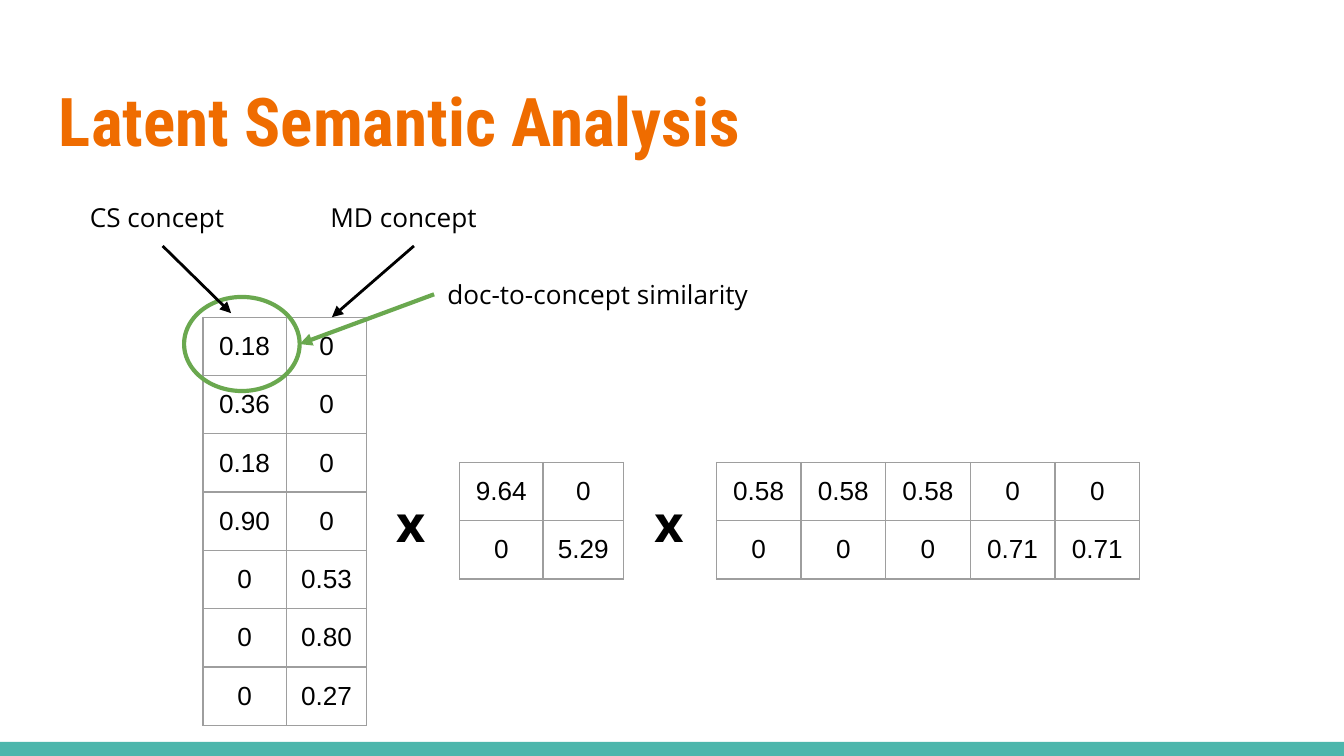
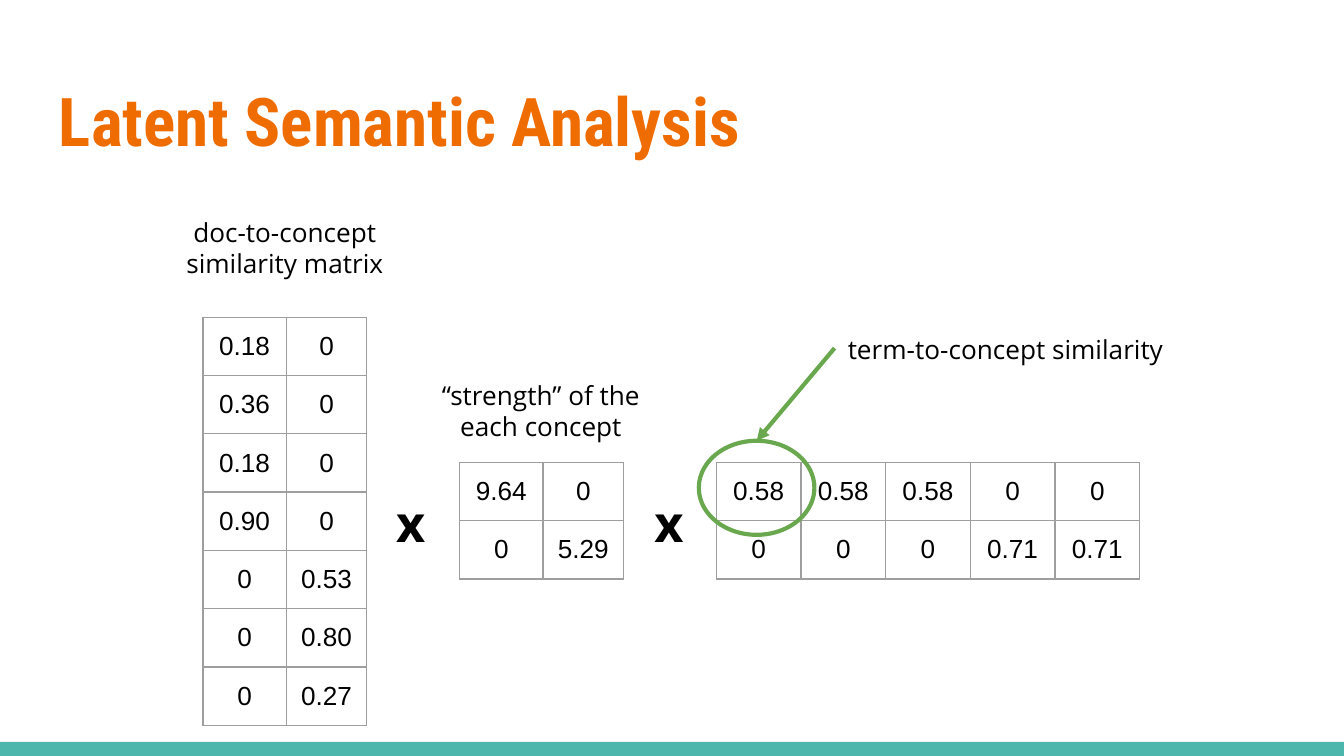
import pptx
import pptx.dml.color
import pptx.enum.shapes
import pptx.enum.text
import pptx.oxml
import pptx.oxml.ns
import pptx.util
from lxml import etree

Inches = pptx.util.Inches
Pt = pptx.util.Pt
PP_ALIGN = pptx.enum.text.PP_ALIGN
MSO_SHAPE = pptx.enum.shapes.MSO_SHAPE

COLORS = {
    "title": "EF6C00",
    "band": "4DB6AC",
    "text": "000000",
    "border": "9E9E9E",
    "highlight": "6AA84F",
}
ROW_HEIGHT = 0.21  # rows grow to fit their text
MATRIX_FRAME = 3.28

# left, top, column widths, rows
MATRICES = [
    (1.51, 2.36, [0.62, 0.6],
     ["0.18 0", "0.36 0", "0.18 0", "0.90 0", "0 0.53", "0 0.80", "0 0.27"]),
    (3.42, 3.44, [0.62, 0.6], ["9.64 0", "0 5.29"]),
    (5.33, 3.44, [0.63] * 5, ["0.58 0.58 0.58 0 0", "0 0 0 0.71 0.71"]),
]

# labels: text, left, top, width, height, alignment
# arrows: start, end, colour, line width
SLIDES = [
    {
        "labels": [
            ("CS concept", 0.57, 1.4, 1.27, 0.44, PP_ALIGN.LEFT),
            ("MD concept", 2.36, 1.4, 1.43, 0.44, PP_ALIGN.LEFT),
            ("doc-to-concept similarity", 3.23, 1.97, 2.64, 0.44, PP_ALIGN.LEFT),
        ],
        "circle": (1.37, 2.21),
        "arrows": [
            ((1.21, 1.83), (1.72, 2.33), "text", 1.5),
            ((3.08, 1.83), (2.47, 2.36), "text", 1.5),
            ((3.23, 2.19), (2.23, 2.56), "highlight", 2.25),
        ],
    },
    {
        "labels": [
            ("doc-to-concept similarity matrix", 1.1, 1.51, 2.04, 0.61, PP_ALIGN.CENTER),
            ("“strength” of the each concept", 3.09, 2.72, 1.87, 0.61, PP_ALIGN.CENTER),
            ("term-to-concept similarity", 6.21, 2.38, 2.6, 0.44, PP_ALIGN.LEFT),
        ],
        "circle": (5.2, 3.28),
        "arrows": [((6.21, 2.59), (5.63, 3.28), "highlight", 2.25)],
    },
]


def rgb(name):
    return pptx.dml.color.RGBColor.from_string(COLORS[name])


def add_text(slide, text, left, top, width, height, align=PP_ALIGN.LEFT,
             size=14, font="Open Sans", color="text", bold=False):
    box = slide.shapes.add_textbox(Inches(left), Inches(top), Inches(width), Inches(height))
    frame = box.text_frame
    frame.word_wrap = True
    frame.margin_left = frame.margin_right = Inches(0.1)
    frame.margin_top = frame.margin_bottom = Inches(0.1)
    paragraph = frame.paragraphs[0]
    paragraph.text = text
    paragraph.alignment = align
    paragraph.font.size = Pt(size)
    paragraph.font.name = font
    paragraph.font.bold = bold
    paragraph.font.color.rgb = rgb(color)


prs = pptx.Presentation()
prs.slide_width = Inches(10)
prs.slide_height = Inches(10 * 9 / 16)

for content in SLIDES:
    slide = prs.slides.add_slide(prs.slide_layouts[6])

    band = slide.shapes.add_shape(MSO_SHAPE.RECTANGLE, 0, Inches(5.52), Inches(10), Inches(0.11))
    band.shadow.inherit = False
    band.fill.solid()
    band.fill.fore_color.rgb = rgb("band")
    band.line.fill.background()

    add_text(slide, "Latent Semantic Analysis", 0.34, 0.49, 9.32, 0.77,
             size=36, font="Roboto Condensed", color="title", bold=True)

    for left, top, widths, rows in MATRICES:
        matrix_frame = slide.shapes.add_table(
            len(rows), len(widths), Inches(left), Inches(top),
            Inches(MATRIX_FRAME), Inches(MATRIX_FRAME))
        matrix = matrix_frame.table
        matrix.first_row = False
        matrix.horz_banding = False
        for column, width in zip(matrix.columns, widths):
            column.width = Inches(width)
        for r, row in enumerate(rows):
            matrix.rows[r].height = Inches(ROW_HEIGHT)
            for c, value in enumerate(row.split()):
                cell = matrix.cell(r, c)
                cell.vertical_anchor = pptx.enum.text.MSO_ANCHOR.MIDDLE
                cell.margin_left = cell.margin_right = Inches(0.1)
                cell.margin_top = cell.margin_bottom = Inches(0.1)
                paragraph = cell.text_frame.paragraphs[0]
                paragraph.text = value
                paragraph.alignment = PP_ALIGN.CENTER
                paragraph.font.size = Pt(14)
                paragraph.font.name = "Arial"
                paragraph.font.color.rgb = rgb("text")
                properties = cell._tc.get_or_add_tcPr()
                for side in ("lnL", "lnR", "lnT", "lnB"):
                    properties.append(pptx.oxml.parse_xml(
                        f'<a:{side} {pptx.oxml.ns.nsdecls("a")} w="{Pt(0.75)}"><a:solidFill>'
                        f'<a:srgbClr val="{COLORS["border"]}"/></a:solidFill></a:{side}>'))
                cell.fill.background()
        matrix_frame.width = matrix_frame.height = Inches(MATRIX_FRAME)

    for times_left in (2.85, 4.77):
        add_text(slide, "x", times_left, 3.56, 0.44, 0.61, size=27, bold=True)

    for label in content["labels"]:
        add_text(slide, *label)

    circle_left, circle_top = content["circle"]
    circle = slide.shapes.add_shape(MSO_SHAPE.OVAL, Inches(circle_left), Inches(circle_top),
                                    Inches(0.86), Inches(0.7))
    circle.shadow.inherit = False
    circle.fill.background()
    circle.line.color.rgb = rgb("highlight")
    circle.line.width = Pt(2.25)

    for start, end, color, width in content["arrows"]:
        arrow = slide.shapes.add_connector(
            pptx.enum.shapes.MSO_CONNECTOR.STRAIGHT, *map(Inches, start + end))
        arrow.line.color.rgb = rgb(color)
        arrow.line.width = Pt(width)
        etree.SubElement(arrow.line._get_or_add_ln(), pptx.oxml.ns.qn("a:tailEnd"), type="triangle")
        etree.SubElement(arrow._element.spPr, pptx.oxml.ns.qn("a:effectLst"))

prs.save("out.pptx")
